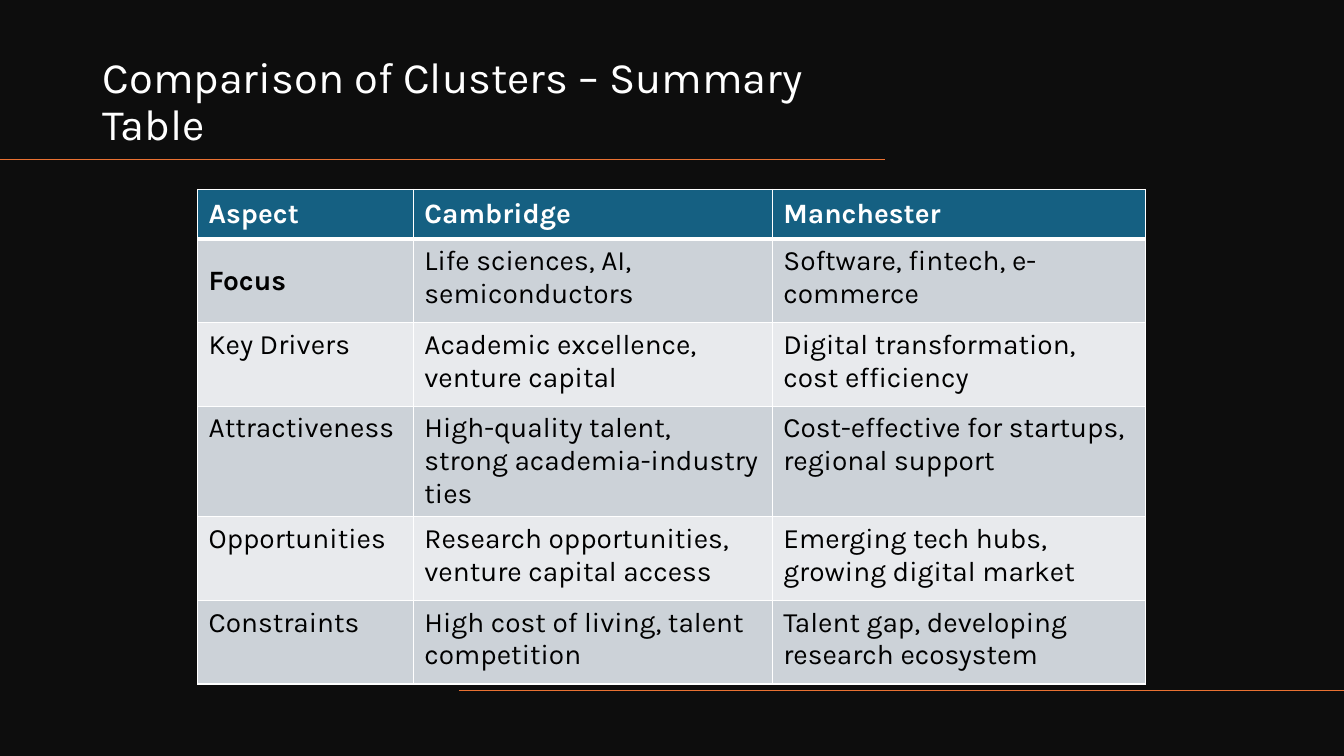
from dataclasses import dataclass

from lxml.etree import SubElement
from pptx import Presentation
from pptx.dml.color import RGBColor
from pptx.enum.text import MSO_ANCHOR, MSO_AUTO_SIZE, PP_ALIGN
from pptx.oxml.ns import qn
from pptx.util import Inches, Pt


@dataclass(frozen=True)
class Theme:
    """Colours, font and type sizes of the slide."""

    font: str = "Karla"
    title_size: int = 31
    table_size: int = 20
    rule_width: int = 1
    border_width: int = 1
    header_border_width: int = 3
    backdrop: str = "0D0D0D"
    light: str = "FFFFFF"
    dark: str = "000000"
    accent: str = "E97132"
    header: str = "156082"
    bands: tuple = ("CCD2D8", "E8EAED")


THEME = Theme()

HEADLINE = "Comparison of Clusters – Summary Table"
COMPARISON = [
    ("Aspect", "Cambridge", "Manchester"),
    ("Focus", "Life sciences, AI, semiconductors", "Software, fintech, e-commerce"),
    ("Key Drivers", "Academic excellence, venture capital",
     "Digital transformation, cost efficiency"),
    ("Attractiveness", "High-quality talent, strong academia-industry ties",
     "Cost-effective for startups, regional support"),
    ("Opportunities", "Research opportunities, venture capital access",
     "Emerging tech hubs, growing digital market"),
    ("Constraints", "High cost of living, talent competition",
     "Talent gap, developing research ecosystem"),
]
COLUMN_WIDTHS = (2.14, 3.56, 3.7)
HEADER_HEIGHT, ROW_HEIGHT = 0.49, 0.83


def apply_format(target, values):
    """Set every attribute named in values on target."""
    for name, value in values.items():
        setattr(target, name, value)


def style_font(font, size, colour, bold=False):
    """Give a font the theme typeface with a size, colour and weight."""
    apply_format(font, {"name": THEME.font, "size": Pt(size), "bold": bold})
    font.color.rgb = RGBColor.from_string(colour)


def paint(fill, colour):
    """Make a fill solid in one colour."""
    fill.solid()
    fill.fore_color.rgb = RGBColor.from_string(colour)


def set_headline(slide):
    """Place and format the title placeholder."""
    title = slide.shapes.title
    apply_format(title, {"left": Inches(0.92), "top": Inches(0.42),
                         "width": Inches(7.86), "height": Inches(1.12)})
    apply_format(title.text_frame, {"text": HEADLINE, "word_wrap": True,
                                    "auto_size": MSO_AUTO_SIZE.NONE,
                                    "vertical_anchor": MSO_ANCHOR.BOTTOM})
    paragraph = title.text_frame.paragraphs[0]
    apply_format(paragraph, {"alignment": PP_ALIGN.LEFT, "line_spacing": 0.9})
    style_font(paragraph.runs[0].font, THEME.title_size, THEME.light)


def add_rule(slide, start, end, top):
    """Draw a thin horizontal accent rule."""
    rule = slide.shapes.add_connector(
        1, Inches(start), Inches(top), Inches(end), Inches(top))
    rule.line.width = Pt(THEME.rule_width)
    rule.line.color.rgb = RGBColor.from_string(THEME.accent)
    SubElement(rule._element.spPr, qn("a:effectLst"))


def add_border(cell, side, width):
    """Add a border to one side of a cell that has no fill yet."""
    border = SubElement(cell._tc.get_or_add_tcPr(), qn(f"a:ln{side}"), w=str(Pt(width)))
    solid = SubElement(border, qn("a:solidFill"))
    SubElement(solid, qn("a:srgbClr"), val=THEME.light)


def fill_cell(cell, wording, row, column):
    """Write and format one cell according to its place in the table."""
    is_header = row == 0
    is_strong = is_header or (row, column) == (1, 0)
    apply_format(cell, {
        "text": wording,
        "margin_left": Inches(0.11), "margin_right": Inches(0.11),
        "margin_top": Inches(0.06), "margin_bottom": Inches(0.06),
        "vertical_anchor": MSO_ANCHOR.MIDDLE if is_strong else MSO_ANCHOR.TOP,
    })
    style_font(cell.text_frame.paragraphs[0].runs[0].font, THEME.table_size,
               THEME.light if is_header else THEME.dark, is_strong)
    heavy_side = {0: "B", 1: "T"}.get(row)
    for side in "LRTB":
        add_border(cell, side, THEME.header_border_width if side == heavy_side
                   else THEME.border_width)
    paint(cell.fill, THEME.header if is_header else THEME.bands[(row - 1) % 2])


def add_comparison(slide):
    """Add the table that compares the clusters."""
    heights = [HEADER_HEIGHT] + [ROW_HEIGHT] * (len(COMPARISON) - 1)
    table = slide.shapes.add_table(
        len(COMPARISON), len(COLUMN_WIDTHS), Inches(1.96), Inches(1.88),
        Inches(sum(COLUMN_WIDTHS)), Inches(sum(heights))).table
    for column, width in zip(table.columns, COLUMN_WIDTHS):
        column.width = Inches(width)
    for row, height in zip(table.rows, heights):
        row.height = Inches(height)
    for row, entries in enumerate(COMPARISON):
        for column, wording in enumerate(entries):
            fill_cell(table.cell(row, column), wording, row, column)


def main():
    """Build the slide and save it."""
    deck = Presentation()
    apply_format(deck, {"slide_width": Inches(13.33), "slide_height": Inches(7.5)})
    slide = deck.slides.add_slide(deck.slide_layouts[5])
    paint(slide.background.fill, THEME.backdrop)
    set_headline(slide)
    add_rule(slide, 0, 8.78, 1.58)
    add_rule(slide, 4.55, 13.33, 6.85)
    add_comparison(slide)
    deck.save("out.pptx")


if __name__ == "__main__":
    main()
